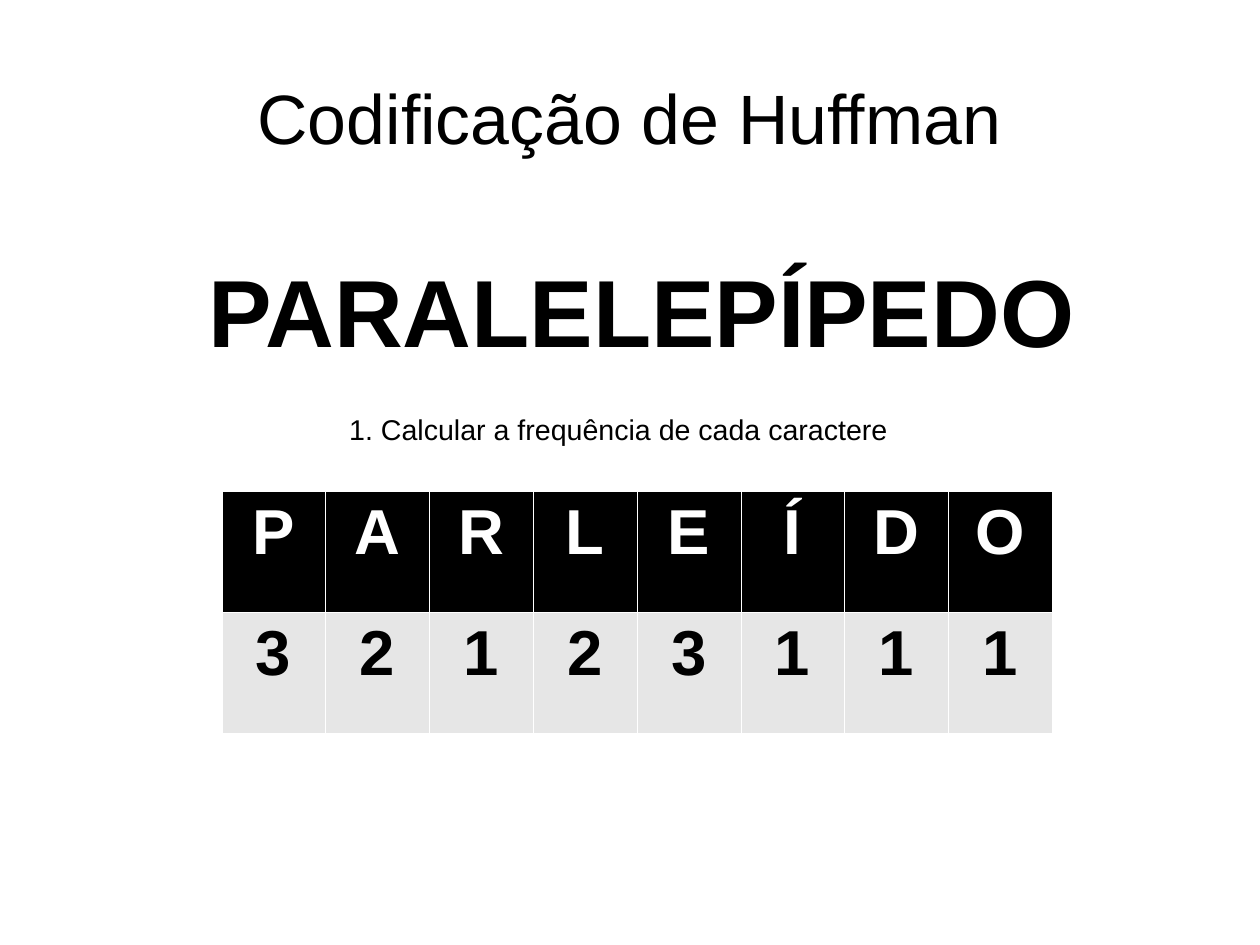
from lxml.etree import SubElement
from pptx import Presentation
from pptx.dml.color import RGBColor
from pptx.enum.text import MSO_ANCHOR, PP_ALIGN
from pptx.oxml.ns import qn
from pptx.util import Pt

# Content
TITLE = "Codificação de Huffman"
WORD = "PARALELEPÍPEDO"
STEP = "1. Calcular a frequência de cada caractere"
FREQUENCIES = [("P", 3), ("A", 2), ("R", 1), ("L", 2),
               ("E", 3), ("Í", 1), ("D", 1), ("O", 1)]

COLORS = {"ink": "000000", "paper": "FFFFFF", "count_fill": "E6E6E6"}
FONT = "Arial"

# Layout in points: left, top, width, height
SLIDE_SIZE = (793.75, 595.25)
TITLE_BOX = (39.6, 23.75, 714.4, 99.4)
WORD_BOX = (124.5, 155.1, 572.4, 94.3)
STEP_BOX = (212.9, 256, 445, 27.4)
TABLE_LEFT, TABLE_TOP = 139.6, 309.3
COLUMN_WIDTH, ROW_HEIGHT = 65.4, 76.2
BORDER_WIDTH = 0.06


def color(name):
    return RGBColor.from_string(COLORS[name])


def write(frame, text, size, ink="ink", bold=False, align=PP_ALIGN.LEFT):
    paragraph = frame.paragraphs[0]
    paragraph.text = text
    paragraph.alignment = align
    font = paragraph.font
    font.name, font.size, font.bold = FONT, Pt(size), bold
    font.color.rgb = color(ink)


def add_text(slide, box, text, size, bold=False):
    frame = slide.shapes.add_textbox(*map(Pt, box)).text_frame
    frame.word_wrap = True
    write(frame, text, size, bold=bold)


def set_borders(cell):
    properties = cell._tc.get_or_add_tcPr()
    for index, side in enumerate(("a:lnL", "a:lnR", "a:lnT", "a:lnB")):
        line = SubElement(properties, qn(side), w=str(Pt(BORDER_WIDTH)))
        fill = SubElement(line, qn("a:solidFill"))
        SubElement(fill, qn("a:srgbClr"), val=COLORS["paper"])
        properties.insert(index, line)  # borders come before the cell fill


def add_frequency_table(slide):
    columns = len(FREQUENCIES)
    table = slide.shapes.add_table(
        2, columns, Pt(TABLE_LEFT), Pt(TABLE_TOP),
        Pt(COLUMN_WIDTH * columns), Pt(ROW_HEIGHT * 2)).table
    row_styles = [("ink", "paper"), ("count_fill", "ink")]
    for column, pair in enumerate(FREQUENCIES):
        table.columns[column].width = Pt(COLUMN_WIDTH)
        for row, (value, (fill, ink)) in enumerate(zip(pair, row_styles)):
            cell = table.cell(row, column)
            cell.fill.solid()
            cell.fill.fore_color.rgb = color(fill)
            set_borders(cell)
            write(cell.text_frame, str(value), 40, ink, True, PP_ALIGN.CENTER)


def main():
    deck = Presentation()
    deck.slide_width, deck.slide_height = map(Pt, SLIDE_SIZE)
    slide = deck.slides.add_slide(deck.slide_layouts[5])

    # Title
    title = slide.shapes.title
    title.left, title.top, title.width, title.height = map(Pt, TITLE_BOX)
    frame = title.text_frame
    frame.margin_left = frame.margin_right = 0
    frame.margin_top = frame.margin_bottom = 0
    frame.vertical_anchor = MSO_ANCHOR.MIDDLE
    write(frame, TITLE, 44, align=PP_ALIGN.CENTER)

    # Word to encode, letter counts and the step
    add_text(slide, WORD_BOX, WORD, 60, bold=True)
    add_frequency_table(slide)
    add_text(slide, STEP_BOX, STEP, 18)

    deck.save("out.pptx")


if __name__ == "__main__":
    main()
